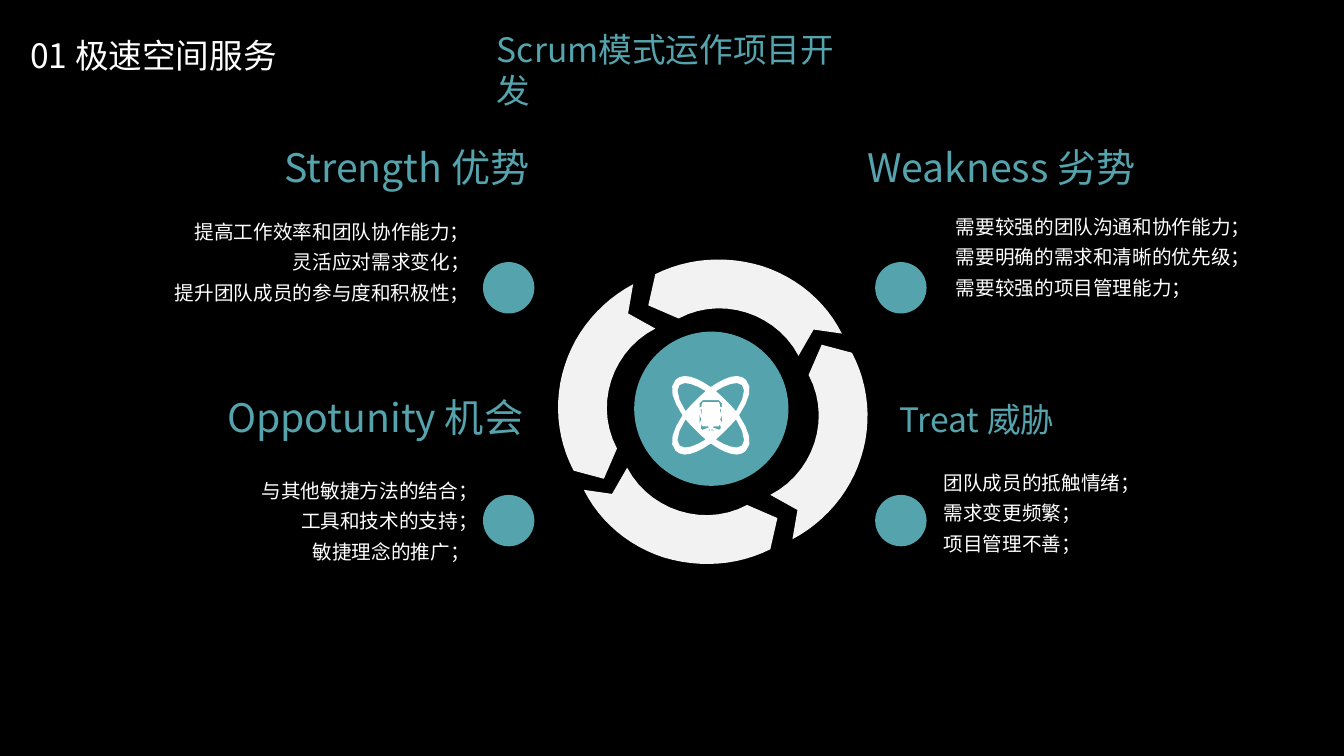
from math import ceil, dist

from pptx import Presentation
from pptx.dml.color import RGBColor
from pptx.enum.shapes import MSO_SHAPE as Preset
from pptx.enum.text import MSO_AUTO_SIZE as AutoSize, PP_ALIGN as Align
from pptx.util import Pt
from lxml.etree import SubElement
from pptx.oxml.ns import qn

PX = 9144
BLACK = RGBColor(0x00, 0x00, 0x00)
WHITE = RGBColor(0xFF, 0xFF, 0xFF)
TEAL = RGBColor(0x55, 0xA3, 0xAD)
PALE = RGBColor(0xF2, 0xF2, 0xF2)
FONT = "Noto Sans CJK SC"


def flatten(curve):
    """Turn a chain of cubic Bezier points into a polyline."""
    line = [curve[0]]
    for i in range(0, len(curve) - 1, 3):
        start, leave, arrive, end = curve[i:i + 4]
        straight = start == leave or leave == arrive == end
        steps = 1 if straight else ceil(dist(start, end) / 9)
        for step in range(1, steps + 1):
            t = step / steps
            weights = ((1 - t) ** 3, 3 * t * (1 - t) ** 2, 3 * t * t * (1 - t), t ** 3)
            line.append(tuple(sum(w * p[axis] for w, p in zip(weights, curve[i:i + 4]))
                              for axis in (0, 1)))
    return line


def mirror_quarter(quarter, drop=0):
    """Complete a top-right quarter curve into a closed one, moved down by drop."""
    half = quarter + [(x, -y) for x, y in quarter[::-1]][1:]
    whole = half + [(-x, y) for x, y in half[::-1]][1:]
    return [(x, y + drop) for x, y in whole]


class SwotSlide:
    """Draws the parts of the slide in one shared style."""

    def __init__(self, deck):
        self.shapes = deck.slides.add_slide(deck.slide_layouts[6]).shapes

    def paint(self, shape, color):
        """Give a shape a flat fill."""
        shape.shadow.inherit = False
        shape.fill.solid()
        shape.fill.fore_color.rgb = color
        shape.line.fill.background()

    def preset(self, kind, left, top, width, height, color):
        """Add a filled preset shape."""
        box = (v * PX for v in (left, top, width, height))
        self.paint(self.shapes.add_shape(kind, *box), color)

    def outline(self, curves, color):
        """Add one filled freeform made of closed curves."""
        lines = [[(x * PX, y * PX) for x, y in flatten(curve)] for curve in curves]
        builder = self.shapes.build_freeform(*lines[0][0], scale=1.0)
        builder.add_line_segments(lines[0][1:])
        for line in lines[1:]:
            builder.move_to(*line[0])
            builder.add_line_segments(line[1:])
        self.paint(builder.convert_to_shape(), color)

    def atom(self, center_x, center_y, size=1.0):
        """Add the atom icon around a center."""
        self.outline([[(center_x + x * size, center_y + y * size) for x, y in curve]
                      for curve in ATOM], WHITE)

    def text(self, left, top, width, height, lines, size, color,
             align=Align.LEFT, spacing=None, inset=5, tails=()):
        """Add a text box, with optional right margins per line."""
        box = self.shapes.add_textbox(*(v * PX for v in (left, top, width, height)))
        frame = box.text_frame
        frame.word_wrap = True
        frame.auto_size = AutoSize.SHAPE_TO_FIT_TEXT
        frame.margin_left = frame.margin_right = inset * PX
        frame.margin_top = frame.margin_bottom = 5 * PX
        for i, line in enumerate(lines):
            paragraph = frame.paragraphs[0] if i == 0 else frame.add_paragraph()
            paragraph.alignment = align
            if spacing:
                paragraph.line_spacing = spacing
            if tails:
                paragraph._p.get_or_add_pPr().set("marR", str(tails[i] * PX))
            run = paragraph.add_run()
            run.text = line
            run.font.size = Pt(size)
            run.font.name = FONT
            run.font.color.rgb = color
            SubElement(run._r.get_or_add_rPr(), qn("a:ea")).set("typeface", FONT)

    def heading(self, left, top, width, height, words, size=28, align=Align.LEFT):
        """Add the heading of one quadrant."""
        self.text(left, top, width, height, [words], size, TEAL, align)

    def points(self, left, top, width, lines, align=Align.LEFT, tails=()):
        """Add the points of one quadrant."""
        self.text(left, top, width, 102, lines, 14, WHITE, align, 1.3, tails=tails)


LOBE = [(25, 4), (33, 16), (35, 27), (31, 30), (30, 32), (28, 32), (26, 32),
        (20, 32), (13, 29), (5, 24), (12, 18), (19, 11), (25, 4)]
ORBITS = [(0, -28), (10, -35), (19, -39), (26, -39), (30, -39), (33, -37),
          (35, -35), (42, -28), (38, -15), (28, 0)]
CASE = [(0, -15), (0, -15), (8, -15), (8, -15), (10, -15), (11, -14),
        (11, -12), (11, -12), (11, 0), (11, 0)]
SCREEN = [(0, -12), (0, -12), (8, -12), (8, -12), (9, -12), (9, -11),
          (9, -10), (9, -10), (9, 0), (9, 0)]
BUTTON = [(0, -2), (1, -2), (2, -1), (2, 0)]
ATOM = [mirror_quarter(ORBITS), mirror_quarter(CASE), mirror_quarter(SCREEN, -1),
        mirror_quarter(BUTTON, 13)]
ATOM += [[(x * side, y * way) for x, y in LOBE] for side in (1, -1) for way in (1, -1)]

LEFT_BLADE = [(612, 445), (599, 475), (599, 475), (599, 475), (569, 467), (569, 467),
              (569, 467), (552, 435), (549, 397), (560, 363), (571, 328), (596, 299),
              (628, 282), (623, 311), (623, 311), (623, 311), (650, 326), (650, 326),
              (650, 326), (607, 348), (589, 402), (612, 445)]
LOWER_BLADE = [(741, 501), (771, 514), (771, 514), (771, 514), (764, 545), (764, 545),
               (764, 545), (732, 561), (694, 564), (658, 553), (624, 542), (595, 518),
               (579, 486), (607, 490), (607, 490), (607, 490), (622, 464), (622, 464),
               (622, 464), (644, 506), (698, 524), (741, 501)]


def main():
    """Build the slide and save it."""
    deck = Presentation()
    deck.slide_width, deck.slide_height = 1333 * PX, 750 * PX
    slide = SwotSlide(deck)
    slide.preset(Preset.RECTANGLE, 0, 0, 1333, 750, BLACK)
    slide.text(483, 24, 375, 50, ["Scrum模式运作项目开发"], 24, TEAL, inset=10)
    slide.text(25, 18, 400, 62, ["01 极速空间服务"], 24, WHITE, spacing=1.3)

    for left in (479, 868):
        for top in (260, 491):
            slide.preset(Preset.OVAL, left, top, 51, 51, TEAL)

    slide.heading(187, 137, 343, 57, "Strength 优势", align=Align.RIGHT)
    slide.points(30, 206, 445, ["提高工作效率和团队协作能力；", "灵活应对需求变化；",
                                "提升团队成员的参与度和积极性；"], Align.RIGHT, (4, 4, 4))
    slide.heading(855, 137, 335, 57, "Weakness 劣势")
    slide.points(943, 201, 338, ["需要较强的团队沟通和协作能力；",
                                 "需要明确的需求和清晰的优先级；", "需要较强的项目管理能力；"])
    slide.heading(184, 385, 340, 57, "Oppotunity 机会", align=Align.RIGHT)
    slide.points(34, 463, 445, ["与其他敏捷方法的结合；", "工具和技术的支持；",
                                "敏捷理念的推广；"], Align.RIGHT, (0, 0, 8))
    slide.heading(887, 391, 300, 50, "Treat 威胁", size=24)
    slide.points(931, 455, 349, ["团队成员的抵触情绪；", "需求变更频繁；", "项目管理不善；"])

    for blade in (LEFT_BLADE, LOWER_BLADE):
        slide.outline([blade], PALE)
        slide.outline([[(1414 - x, 817 - y) for x, y in blade]], PALE)
    slide.preset(Preset.OVAL, 629, 329, 153, 153, TEAL)
    slide.atom(705, 412)
    slide.atom(705, 416, 0.33)
    deck.save("out.pptx")


if __name__ == "__main__":
    main()
